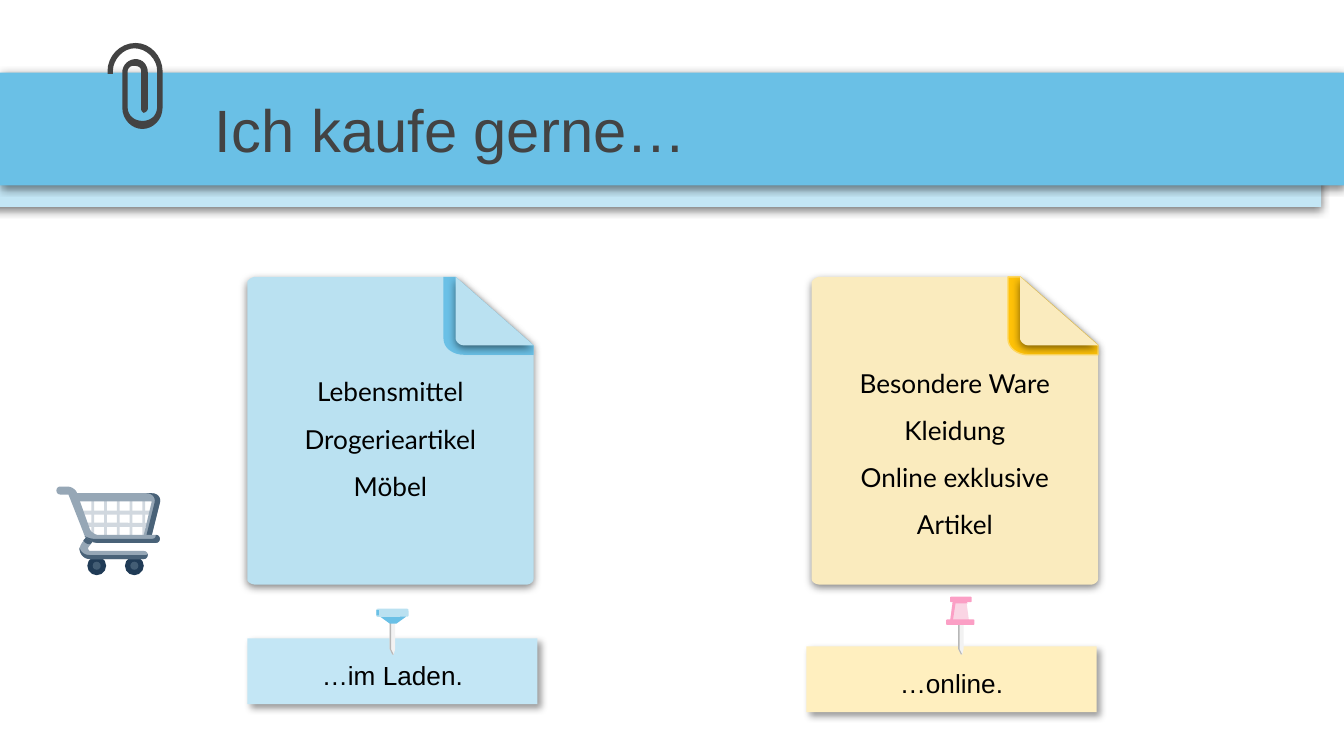
from pptx import Presentation
from pptx.dml.color import RGBColor
from pptx.enum.shapes import MSO_SHAPE
from pptx.enum.text import MSO_ANCHOR, PP_ALIGN
from pptx.oxml import parse_xml
from pptx.oxml.ns import nsdecls, qn
from pptx.util import Inches, Pt

RECT, ROUNDED, OVAL = MSO_SHAPE.RECTANGLE, MSO_SHAPE.ROUNDED_RECTANGLE, MSO_SHAPE.OVAL
LEFT, CENTER = PP_ALIGN.LEFT, PP_ALIGN.CENTER
MIDDLE, BOTTOM = MSO_ANCHOR.MIDDLE, MSO_ANCHOR.BOTTOM

BLACK = RGBColor(0x00, 0x00, 0x00)
DARK = RGBColor(0x43, 0x43, 0x43)
BLUE = RGBColor(0x6A, 0xC0, 0xE6)
PALE_BLUE = RGBColor(0xC3, 0xE6, 0xF5)
NOTE_BLUE = RGBColor(0xBA, 0xE1, 0xF1)
CREAM = RGBColor(0xFF, 0xEF, 0xBF)
NOTE_CREAM = RGBColor(0xFA, 0xEB, 0xBE)
GOLD = RGBColor(0xFF, 0xC2, 0x08)
PALE_GOLD = RGBColor(0xFF, 0xD8, 0x60)
PINK = RGBColor(0xFB, 0x9F, 0xC5)
PALE_PINK = RGBColor(0xFA, 0xD5, 0xE4)
SILVER = RGBColor(0xF2, 0xF2, 0xF2)
GREY = RGBColor(0xB7, 0xB7, 0xB7)
MESH = RGBColor(0xD1, 0xD8, 0xDF)
STEEL = RGBColor(0x96, 0xA7, 0xB6)
SHADE = RGBColor(0x49, 0x62, 0x78)
TYRE = RGBColor(0x20, 0x3B, 0x56)
HUB = RGBColor(0x43, 0x5D, 0x74)

# Shadows: opacity in percent, blur and distance in points, angle in degrees
DROP = (50, 4.5, 1.5, 90)
DIAGONAL = (40, 4, 3, 45)

# Outlines: a pair is a corner, six numbers are a Bezier curve
CLIP = [
    (1.01, .32), (.89, .32, .8, .42, .8, .53), (.8, .55), (.84, .55), (.84, .53),
    (.84, .44, .92, .36, 1, .36), (1.09, .36, 1.17, .44, 1.17, .53), (1.17, .79),
    (1.17, .82, 1.16, .85, 1.14, .87), (1.12, .89, 1.09, .9, 1.06, .9),
    (1, .9, .95, .86, .95, .8), (.95, .53), (.95, .51, .97, .49, .99, .49),
    (1.03, .49, 1.05, .5, 1.05, .53), (1.05, .81), (1.05, .83, 1.07, .84, 1.07, .84),
    (1.07, .84, 1.1, .83, 1.1, .81), (1.1, .54), (1.1, .48, 1.06, .44, 1.01, .44),
    (.96, .44, .91, .48, .91, .54), (.91, .8), (.91, .89, .98, .96, 1.06, .96),
    (1.14, .96, 1.21, .89, 1.21, .8), (1.21, .53), (1.21, .42, 1.12, .32, 1.01, .32)]
NOTE = [(.06, 0), (.03, 0, 0, .03, 0, .04), (0, 2.25), (0, 2.27, .03, 2.29, .06, 2.29),
        (2.08, 2.29), (2.1, 2.29, 2.13, 2.27, 2.13, 2.25), (2.13, .51), (1.55, 0)]
UNDERFOLD = [(1.46, 0), (1.46, .46), (1.46, .53, 1.53, .58, 1.61, .58),
             (2.13, .58), (2.13, .51), (1.55, 0)]
FOLD = [(1.55, 0), (1.55, .46), (1.55, .48, 1.58, .51, 1.61, .51), (2.13, .51)]
BASKET = [(.57, 3.67), (.59, 3.73), (1.13, 3.73), (1.07, 3.98), (1.13, 3.98),
          (1.19, 3.74), (1.2, 3.7, 1.17, 3.67, 1.13, 3.67)]
BASKET_SIDE = [(1.09, 3.67), (1.13, 3.67, 1.16, 3.7, 1.15, 3.74), (1.09, 3.98),
               (1.13, 3.98), (1.19, 3.74), (1.2, 3.7, 1.17, 3.67, 1.13, 3.67)]
HANDLE = [(.45, 3.62), (.41, 3.62, .41, 3.68, .45, 3.68), (.5, 3.68), (.51, 3.68),
          (.62, 3.96), (.63, 4.01, .68, 4.04, .73, 4.04), (1.16, 4.04),
          (1.2, 4.04, 1.2, 3.98, 1.16, 3.98), (.73, 3.98),
          (.71, 3.98, .68, 3.96, .67, 3.94), (.57, 3.66), (.56, 3.64, .53, 3.62, .5, 3.62)]
HANDLE_SIDE = [(1.16, 3.98), (1.16, 4, 1.15, 4.01, 1.13, 4.01), (.7, 4.01),
               (.68, 4.01, .65, 4, .63, 3.99), (.65, 4.02, .69, 4.04, .73, 4.04),
               (1.16, 4.04), (1.2, 4.04, 1.2, 3.98, 1.16, 3.98)]
FRAME = [(.64, 4), (.61, 4.04), (.57, 4.09, .61, 4.16, .67, 4.16), (1.07, 4.16),
         (1.11, 4.16, 1.11, 4.1, 1.07, 4.1), (.67, 4.1), (.66, 4.1, .65, 4.08, .66, 4.07),
         (.69, 4.03), (.67, 4.02, .65, 4.01, .64, 4)]
FRAME_SIDE = [(.59, 4.07), (.59, 4.12, .62, 4.16, .67, 4.16), (1.07, 4.16),
              (1.09, 4.16, 1.1, 4.14, 1.1, 4.12), (1.1, 4.13, 1.08, 4.13, 1.07, 4.13),
              (.67, 4.13), (.63, 4.13, .6, 4.11, .59, 4.07)]
FRAME_TOP = [(.64, 4), (.62, 4.02), (.63, 4.04, .65, 4.05, .67, 4.05), (.69, 4.03)]


def flatten(outline, steps=8):
    """Turn corners and curves into a list of points."""
    points = [outline[0]]
    for part in outline[1:]:
        if len(part) == 2:
            points.append(part)
            continue
        nodes = [points[-1], part[:2], part[2:4], part[4:]]
        for step in range(1, steps + 1):
            t = step / steps
            weights = ((1 - t) ** 3, 3 * t * (1 - t) ** 2, 3 * t * t * (1 - t), t ** 3)
            points.append(tuple(sum(w * node[axis] for w, node in zip(weights, nodes))
                                for axis in (0, 1)))
    return points


class Board:
    def __init__(self, page):
        self.page = page
        self.shapes = page.shapes

    def group(self):
        self.shapes = self.page.shapes.add_group_shape().shapes

    def ungroup(self):
        self.shapes = self.page.shapes

    def paint(self, shape, fill, shadow=None):
        shape.fill.solid()
        shape.fill.fore_color.rgb = fill
        shape.line.fill.background()
        shape.shadow.inherit = False
        if shadow:
            opacity, blur, distance, angle = shadow
            effects = shape._element.spPr.find(qn("a:effectLst"))
            effects.append(parse_xml(
                f'<a:outerShdw {nsdecls("a")} blurRad="{Pt(blur)}" dist="{Pt(distance)}" '
                f'dir="{angle * 60000}" algn="bl" rotWithShape="0"><a:srgbClr val="000000">'
                f'<a:alpha val="{opacity * 1000}"/></a:srgbClr></a:outerShdw>'))
        return shape

    def preset(self, kind, box, fill, shadow=None):
        return self.paint(self.shapes.add_shape(kind, *map(Inches, box)), fill, shadow)

    def outline(self, parts, fill, shadow=None, at=(0, 0)):
        points = [(Inches(x + at[0]), Inches(y + at[1])) for x, y in flatten(parts)]
        builder = self.shapes.build_freeform(*points[0])
        builder.add_line_segments(points[1:], close=True)
        return self.paint(builder.convert_to_shape(), fill, shadow)

    def text(self, shape, lines, font, size, color=BLACK, align=CENTER, anchor=MIDDLE,
             spacing=None, left=0.1, top=0.1):
        frame = shape.text_frame
        frame.word_wrap = True
        frame.vertical_anchor = anchor
        frame.margin_left, frame.margin_top = Inches(left), Inches(top)
        frame.margin_right = frame.margin_bottom = Inches(0.1)
        for index, line in enumerate(lines):
            para = frame.add_paragraph() if index else frame.paragraphs[0]
            para.alignment = align
            para.line_spacing = spacing
            span = para.add_run()
            span.text = line
            span.font.name, span.font.size = font, Pt(size)
            span.font.color.rgb = color

    def note(self, left, fill, under, lines, top_inset, edge=None):
        self.group()
        at = (left, 2.06)
        body = self.outline(NOTE, fill, DROP, at)
        self.text(body, lines, "Lato", 14, spacing=1.5, top=top_inset)
        underfold = self.outline(UNDERFOLD, under, at=at)
        if edge:
            underfold.line.color.rgb = edge
            underfold.line.width = Pt(0.75)
        self.outline(FOLD, fill, DROP, at)
        self.ungroup()

    def label(self, left, top, fill, words):
        box = self.preset(RECT, (left, top, 2.16, 0.49), fill, DIAGONAL)
        self.text(box, [words], "Arial", 14, anchor=BOTTOM)

    def needle(self, left, top):
        for right, fill in ((.04, SILVER), (.01, GREY)):
            self.outline([(0, top), (0, 4.83), (.02, 4.87), (.03, 4.87),
                          (right, 4.83), (right, top)], fill, at=(left, 0))

    def cap(self, left, top, width, height, fill, edge):
        self.preset(ROUNDED, (left, top, width, height), fill)
        self.preset(RECT, (left, top + .01, .02, height - .02), edge)


# A 16:9 page
deck = Presentation()
deck.slide_width, deck.slide_height = Inches(10), Inches(10 * 9 / 16)
board = Board(deck.slides.add_slide(deck.slide_layouts[6]))

# Title bands and paper clip
board.preset(RECT, (-0.17, 0.7, 10, 0.84), PALE_BLUE, DROP)
title = board.preset(RECT, (0, 0.54, 10, 0.84), BLUE, DROP)
board.text(title, ["Ich kaufe gerne…"], "Arial", 32, DARK, LEFT, left=1.6)
board.outline(CLIP, DARK)

# Notes and labels
board.note(1.84, NOTE_BLUE, BLUE, ["Lebensmittel", "Drogerieartikel", "Möbel"], 0.1)
board.note(6.04, NOTE_CREAM, GOLD,
           ["Besondere Ware", "Kleidung", "Online exklusive Artikel"], 0.32, PALE_GOLD)
board.label(1.84, 4.75, PALE_BLUE, "…im Laden.")
board.label(6, 4.81, CREAM, "…online.")

# Blue pin
board.group()
board.needle(2.9, 4.58)
board.outline([(2.83, 4.57), (2.83, 4.59), (2.9, 4.64), (2.95, 4.64),
               (3.02, 4.59), (3.02, 4.57)], BLUE)
board.cap(2.8, 4.53, 0.24, 0.06, NOTE_BLUE, BLUE)

# Pink pin
board.group()
board.needle(7.13, 4.64)
board.outline([(7.09, 4.47), (7.07, 4.62), (7.21, 4.62), (7.19, 4.47)], PALE_PINK)
board.outline([(7.09, 4.47), (7.07, 4.62), (7.09, 4.62), (7.11, 4.49),
               (7.2, 4.49), (7.19, 4.47)], PINK)
board.cap(7.07, 4.44, 0.16, 0.04, PINK, PINK)
board.cap(7.04, 4.61, 0.21, 0.04, PINK, PINK)

# Shopping cart: mesh, wheels, body
board.group()
for column in range(5):
    board.preset(ROUNDED, (0.68 + 0.095 * column, 3.71, 0.02, 0.28), MESH)
for left, top, width in ((0.6, 3.8, 0.53), (0.63, 3.89, 0.47)):
    board.preset(ROUNDED, (left, top, width, 0.03), MESH)
for center in (0.72, 1):
    board.preset(OVAL, (center - 0.07, 4.14, 0.14, 0.14), TYRE)
    board.preset(OVAL, (center - 0.03, 4.18, 0.06, 0.06), HUB)
for parts, fill in ((BASKET, STEEL), (BASKET_SIDE, SHADE), (HANDLE, STEEL),
                    (HANDLE_SIDE, SHADE), (FRAME, STEEL), (FRAME_SIDE, SHADE),
                    (FRAME_TOP, SHADE)):
    board.outline(parts, fill)

deck.save("out.pptx")
